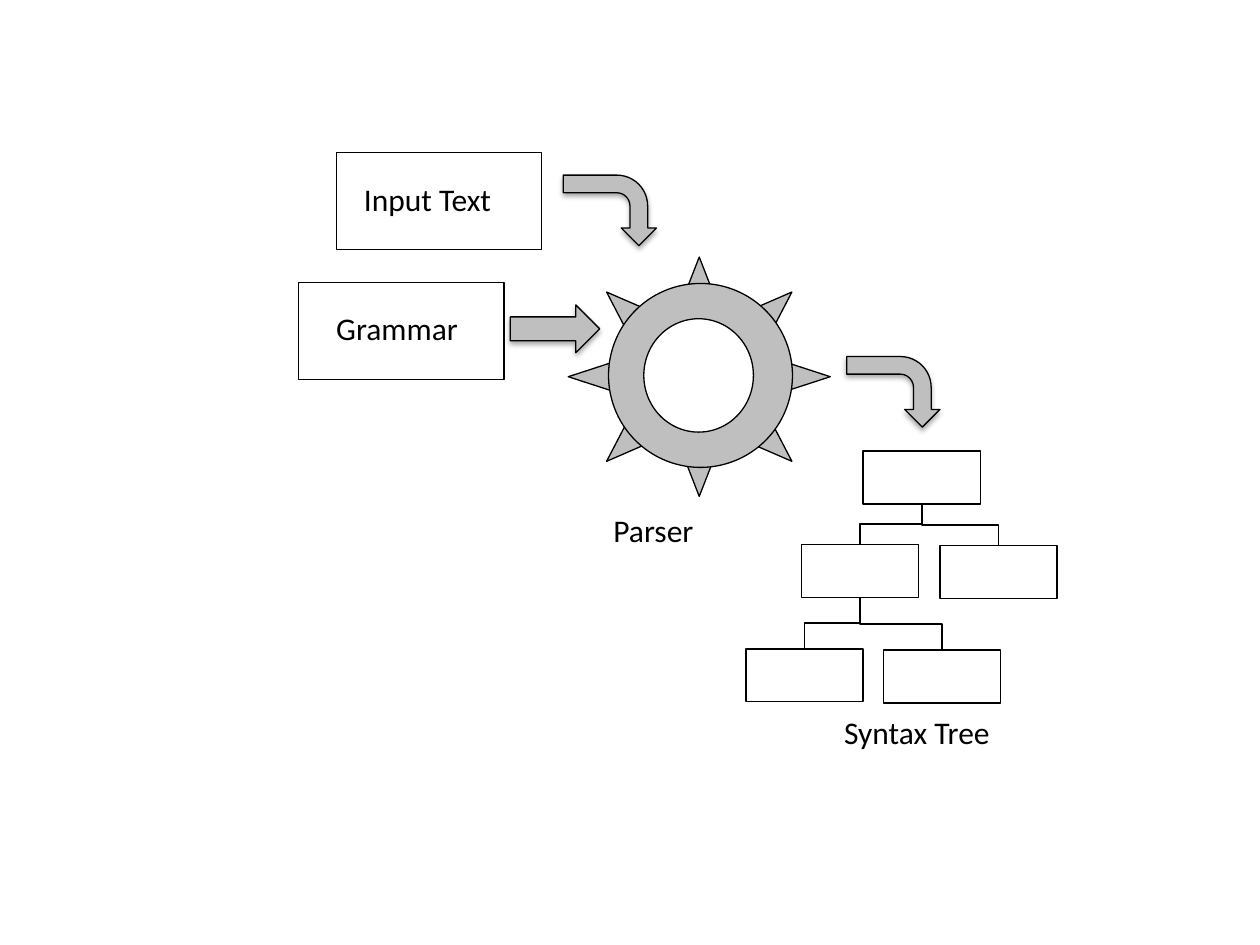
from lxml import etree
from pptx import Presentation
from pptx.dml.color import RGBColor
from pptx.enum.shapes import MSO_CONNECTOR as Connector, MSO_SHAPE as Shape
from pptx.enum.text import MSO_AUTO_SIZE as AutoSize
from pptx.oxml.ns import qn
from pptx.util import Inches, Pt

COLORS = {"ink": "000000", "gear": "BFBFBF", "paper": "FFFFFF"}
BOTTOM, TOP = 2, 0  # connection sites of a rectangle


class Diagram:
    """Holds the style and the current slide."""

    font_name = "Calibri"
    font_size = Pt(18)
    outline = Pt(0.75)
    tree_line = Pt(1)

    def __init__(self, slide):
        """Start drawing on a slide."""
        self.slide = slide

    def color(self, name):
        """Return a named colour."""
        return RGBColor.from_string(COLORS[name])

    def shape(self, kind, left, top, width, height, fill=None, parent=None):
        """Add an outlined preset shape to the slide or to a group."""
        shapes = (parent or self.slide).shapes
        shape = shapes.add_shape(kind, *map(Inches, (left, top, width, height)))
        shape.shadow.inherit = False
        if fill:
            shape.fill.solid()
            shape.fill.fore_color.rgb = self.color(fill)
        else:
            shape.fill.background()
        shape.line.color.rgb = self.color("ink")
        shape.line.width = self.outline
        return shape

    def arrow(self, kind, left, top, width, height, rotation=0):
        """Add a grey block arrow with a soft shadow below it."""
        arrow = self.shape(kind, left, top, width, height, "gear")
        arrow.rotation = rotation
        effects = arrow._element.spPr.find(qn("a:effectLst"))
        shadow = etree.SubElement(
            effects, qn("a:outerShdw"), blurRad=str(Pt(3.1)), dist=str(Pt(1.8)),
            dir="5400000", rotWithShape="0")
        ink = etree.SubElement(shadow, qn("a:srgbClr"), val=COLORS["ink"])
        etree.SubElement(ink, qn("a:alpha"), val="35000")

    def label(self, text, left, top, width):
        """Add a one-line text label."""
        box = self.slide.shapes.add_textbox(*map(Inches, (left, top, width, 0.4)))
        frame = box.text_frame
        frame.word_wrap = True
        frame.auto_size = AutoSize.SHAPE_TO_FIT_TEXT
        paragraph = frame.paragraphs[0]
        paragraph.text = text
        paragraph.font.name = self.font_name
        paragraph.font.size = self.font_size
        paragraph.font.color.rgb = self.color("ink")

    def branch(self, parent, child):
        """Join a parent's bottom to a child's top with an elbow line."""
        start_x, start_y = parent.left + parent.width // 2, parent.top + parent.height
        end_x, end_y = child.left + child.width // 2, child.top
        line = self.slide.shapes.add_connector(
            Connector.ELBOW, start_x, start_y, end_x, end_y)
        line.begin_connect(parent, BOTTOM)
        line.end_connect(child, TOP)
        # The elbow runs sideways first, so its frame is turned to run downwards.
        run, drop = abs(end_x - start_x), end_y - start_y
        line.left = (start_x + end_x - drop) // 2
        line.top = (start_y + end_y - run) // 2
        line.width, line.height = drop, run
        goes_right = end_x > start_x
        frame = line._element.spPr.find(qn("a:xfrm"))
        frame.attrib.pop("flipH", None)
        frame.attrib.pop("flipV", None)
        frame.set("rot", str((270 if goes_right else 90) * 60000))
        if goes_right:
            frame.set("flipH", "1")
        line.line.color.rgb = self.color("ink")
        line.line.width = self.tree_line
        etree.SubElement(line._element.spPr, qn("a:effectLst"))

    def gear(self):
        """Add the parser's gear: a spiked wheel with a hole."""
        group = self.slide.shapes.add_group_shape()
        self.shape(Shape.SUN, 4.51, 2.04, 2.08, 1.9, "gear", group)
        self.shape(Shape.OVAL, 4.83, 2.25, 1.46, 1.46, "gear", group)
        self.shape(Shape.OVAL, 5.11, 2.53, 0.87, 0.9, "paper")

    def tree(self):
        """Add the syntax tree's nodes and branches."""
        places = {"root": (6.85, 3.58), "left": (6.36, 4.32), "right": (7.46, 4.33),
                  "left leaf": (5.92, 5.15), "right leaf": (7.01, 5.16)}
        nodes = {name: self.shape(Shape.RECTANGLE, left, top, 0.93, 0.42)
                 for name, (left, top) in places.items()}
        for parent, child in (("root", "left"), ("root", "right"),
                              ("left", "left leaf"), ("left", "right leaf")):
            self.branch(nodes[parent], nodes[child])


def main():
    """Build the parser diagram."""
    presentation = Presentation()
    presentation.slide_width, presentation.slide_height = Inches(10), Inches(7.5)
    blank = presentation.slide_layouts.get_by_name("Blank")
    diagram = Diagram(presentation.slides.add_slide(blank))

    for left, top in ((2.67, 1.21), (2.37, 2.24)):
        diagram.shape(Shape.RECTANGLE, left, top, 1.63, 0.77)
    diagram.gear()
    diagram.tree()
    for text, left, top, width in (
            ("Input Text", 2.79, 1.38, 1.32), ("Grammar", 2.57, 2.4, 1.32),
            ("Parser", 4.77, 4.01, 1.07), ("Syntax Tree", 6.6, 5.61, 1.55)):
        diagram.label(text, left, top, width)
    for left, top in ((4.56, 1.3), (6.81, 2.74)):
        diagram.arrow(Shape.BENT_ARROW, left, top, 0.56, 0.74, rotation=90)
    diagram.arrow(Shape.RIGHT_ARROW, 4.05, 2.42, 0.71, 0.38)

    presentation.save("out.pptx")


main()
